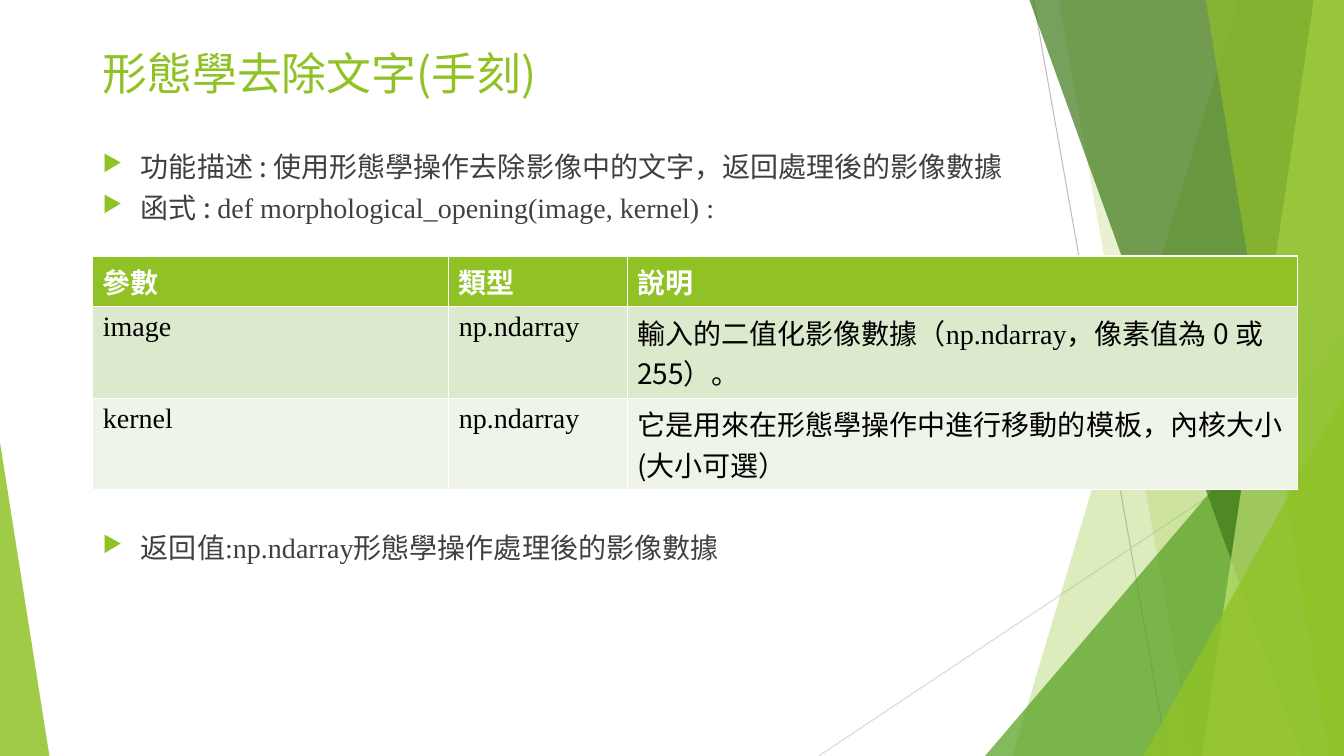
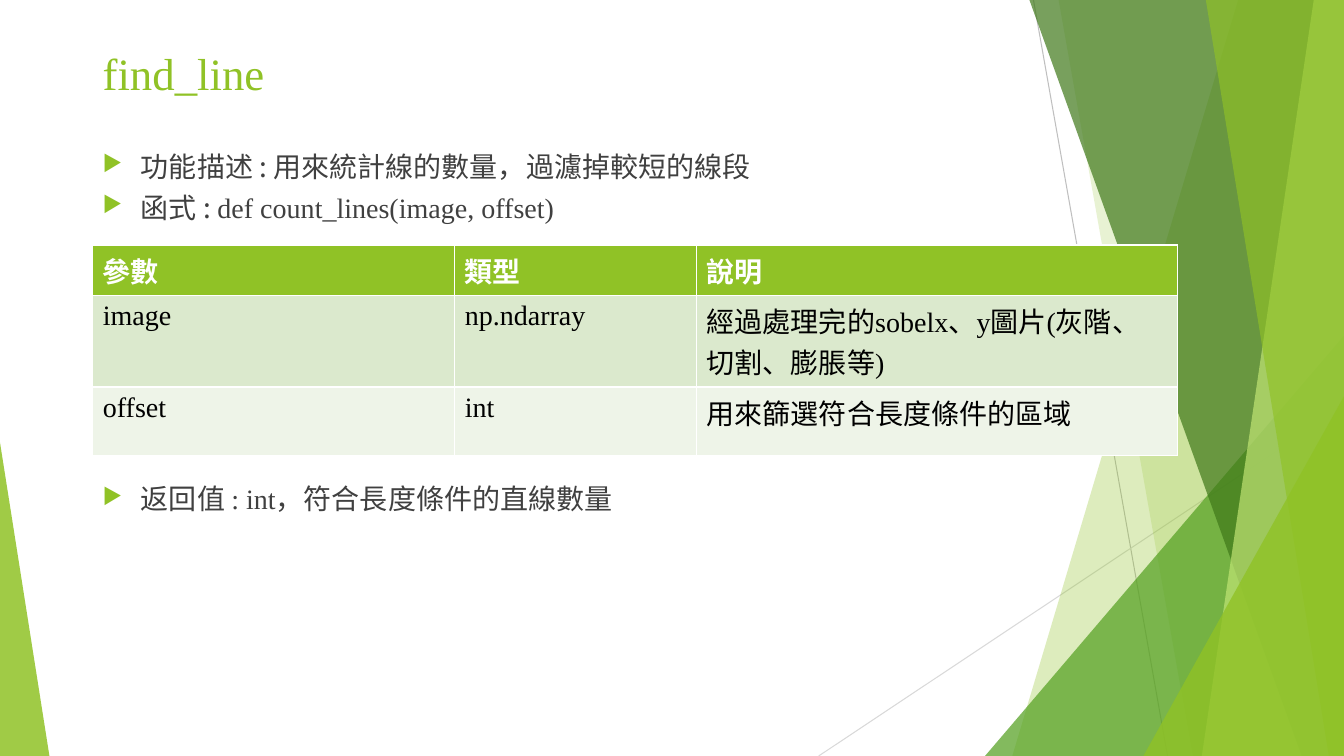
"""Build two slides that describe image functions and their parameters."""
from lxml import etree
from pptx import Presentation
from pptx.dml.color import RGBColor
from pptx.enum.shapes import MSO_CONNECTOR, MSO_SHAPE
from pptx.oxml.ns import qn
from pptx.util import Inches, Pt

LINE = MSO_CONNECTOR.STRAIGHT
TRI = MSO_SHAPE.ISOSCELES_TRIANGLE
SANS, SERIF = "Noto Sans CJK SC", "Times New Roman"
WIDE, HIGH, LEFT = 13.33, 7.5, 0.92
HEX = {"lime": "90C226", "leaf": "54A021", "moss": "3F7819", "pale": "C0E474",
       "text": "404040", "black": "000000", "white": "FFFFFF",
       "odd": "DBE9CD", "even": "EEF4E8", "grey": "BFBFBF", "mist": "D9D9D9"}
RGB = {name: RGBColor.from_string(code) for name, code in HEX.items()}

RULES = [((10.25, 0), (11.58, HIGH), "grey"), ((WIDE, 4.03), (8.12, HIGH), "mist")]
SHARDS = [
    ("band", (12.28, 10.04), "lime", 30),
    ("band", (10.5, 11.83), "lime", 20),
    ("tri", (9.77, 3.33, 3.56, 1), "leaf", 72),
    ("band", (10.21, 12.91), "moss", 70),
    ("band", (13.03, 11.92), "pale", 70),
    ("band", (11.96, 13.18), "lime", 65),
    ("tri", (11.34, 3.93, 1.99, 1), "lime", 80),
    ("tri", (0, 4.39, 0.49, 0), "lime", 85),
]
HEAD = [[("參數", SANS)], [("類型", SANS)], [("說明", SANS)]]

SLIDES = [
    {"title": [("形態學去除文字(手刻)", SANS)],
     "intro": [[("功能描述 : 使用形態學操作去除影像中的文字，返回處理後的影像數據", SANS)],
               [("函式 : ", SANS), ("def morphological_opening(image, kernel) :", SERIF)]],
     "top": 2.54, "cols": [3.53, 1.77, 6.65], "rows": [0.5, 0.91, 0.91],
     "cells": [[[("image", SERIF)], [("np.ndarray", SERIF)],
                [("輸入的二值化影像數據（", SANS), ("np.ndarray", SERIF),
                 ("，像素值為 0 或 255）。", SANS)]],
               [[("kernel", SERIF)], [("np.ndarray", SERIF)],
                [("它是用來在形態學操作中進行移動的模板，內核大小(大小可選）", SANS)]]],
     "end": 5.25,
     "result": [[("返回值", SANS), (":np.ndarray", SERIF),
                 ("形態學操作處理後的影像數據", SANS)]]},
    {"title": [("find_line", SERIF)],
     "intro": [[("功能描述 : 用來統計線的數量，過濾掉較短的線段", SANS)],
               [("函式 : ", SANS), ("def count_lines(image, offset)", SERIF)]],
     "top": 2.43, "cols": [3.59, 2.4, 4.77], "rows": [0.5, 0.91, 0.68],
     "cells": [[[("image", SERIF)], [("np.ndarray", SERIF)],
                [("經過處理完的sobelx、y圖片(灰階、切割、膨脹等)", SERIF)]],
               [[("offset", SERIF)], [("int", SERIF)],
                [("用來篩選符合長度條件的區域", SANS)]]],
     "end": 4.77,
     "result": [[("返回值 ", SANS), (": int，", SERIF),
                 ("符合長度條件的直線數量", SANS)]]},
]


def write(para, runs, color, size=20, bold=False):
    for words, face in runs:
        run = para.add_run()
        run.text = words
        font = run.font
        font.size, font.bold, font.name = Pt(size), bold, face
        font.color.rgb = RGB[color]
        etree.SubElement(run._r.get_or_add_rPr(), qn("a:ea"), typeface=SANS)


def bullets(slide, top, high, lines):
    frame = slide.shapes.add_textbox(Inches(LEFT), Inches(top), Inches(11.5),
                                     Inches(high)).text_frame
    frame.word_wrap = True
    for i, runs in enumerate(lines):
        para = frame.paragraphs[0] if i == 0 else frame.add_paragraph()
        props = para._p.get_or_add_pPr()
        props.set("marL", str(Inches(0.38)))
        props.set("indent", str(-Inches(0.38)))
        tint = etree.SubElement(props, qn("a:buClr"))
        etree.SubElement(tint, qn("a:srgbClr"), val=HEX["lime"])
        etree.SubElement(props, qn("a:buSzPct"), val="80000")
        etree.SubElement(props, qn("a:buChar"), char="▶")
        para.line_spacing = 0.9
        if i:
            para.space_before = Pt(7.5)
        write(para, runs, "text")


deck = Presentation()
deck.slide_width, deck.slide_height = Inches(WIDE), Inches(HIGH)

for data in SLIDES:
    slide = deck.slides.add_slide(deck.slide_layouts[6])
    shapes = slide.shapes

    for start, stop, color in RULES:
        rule = shapes.add_connector(LINE, *map(Inches, start + stop))
        rule.line.color.rgb = RGB[color]
        rule.line.width = Pt(0.75)
        etree.SubElement(rule._element.spPr, qn("a:effectLst"))

    for kind, nums, color, alpha in SHARDS:
        if kind == "band":
            upper, lower = nums
            path = shapes.build_freeform(Inches(upper), 0)
            path.add_line_segments([(Inches(WIDE), 0), (Inches(WIDE), Inches(HIGH)),
                                    (Inches(lower), Inches(HIGH))])
            shard = path.convert_to_shape()
        else:
            left, top, width, peak = nums
            shard = shapes.add_shape(TRI, Inches(left), Inches(top), Inches(width),
                                     Inches(HIGH - top))
            shard.adjustments[0] = peak
        shard.shadow.inherit = False
        shard.line.fill.background()
        shard.fill.solid()
        shard.fill.fore_color.rgb = RGB[color]
        tone = shard._element.spPr.find(".//" + qn("a:srgbClr"))
        etree.SubElement(tone, qn("a:alpha"), val=str(alpha * 1000))

    title = shapes.add_textbox(Inches(LEFT), Inches(0.4), Inches(11.5), Inches(1.07))
    title.text_frame.word_wrap = True
    write(title.text_frame.paragraphs[0], data["title"], "lime", 32)

    bullets(slide, 1.47, 0.95, data["intro"])

    cols, rows = data["cols"], data["rows"]
    grid = shapes.add_table(len(rows), len(cols), Inches(LEFT), Inches(data["top"]),
                            Inches(sum(cols)), Inches(sum(rows))).table
    for c, width in enumerate(cols):
        grid.columns[c].width = Inches(width)
    for r, line in enumerate([HEAD] + data["cells"]):
        grid.rows[r].height = Inches(rows[r])
        for c, runs in enumerate(line):
            cell = grid.cell(r, c)
            cell.fill.solid()
            cell.fill.fore_color.rgb = RGB[("lime", "odd", "even")[r]]
            write(cell.text_frame.paragraphs[0], runs,
                  "black" if r else "white", bold=r == 0)

    bullets(slide, data["end"], 0.5, data["result"])

deck.save("out.pptx")
